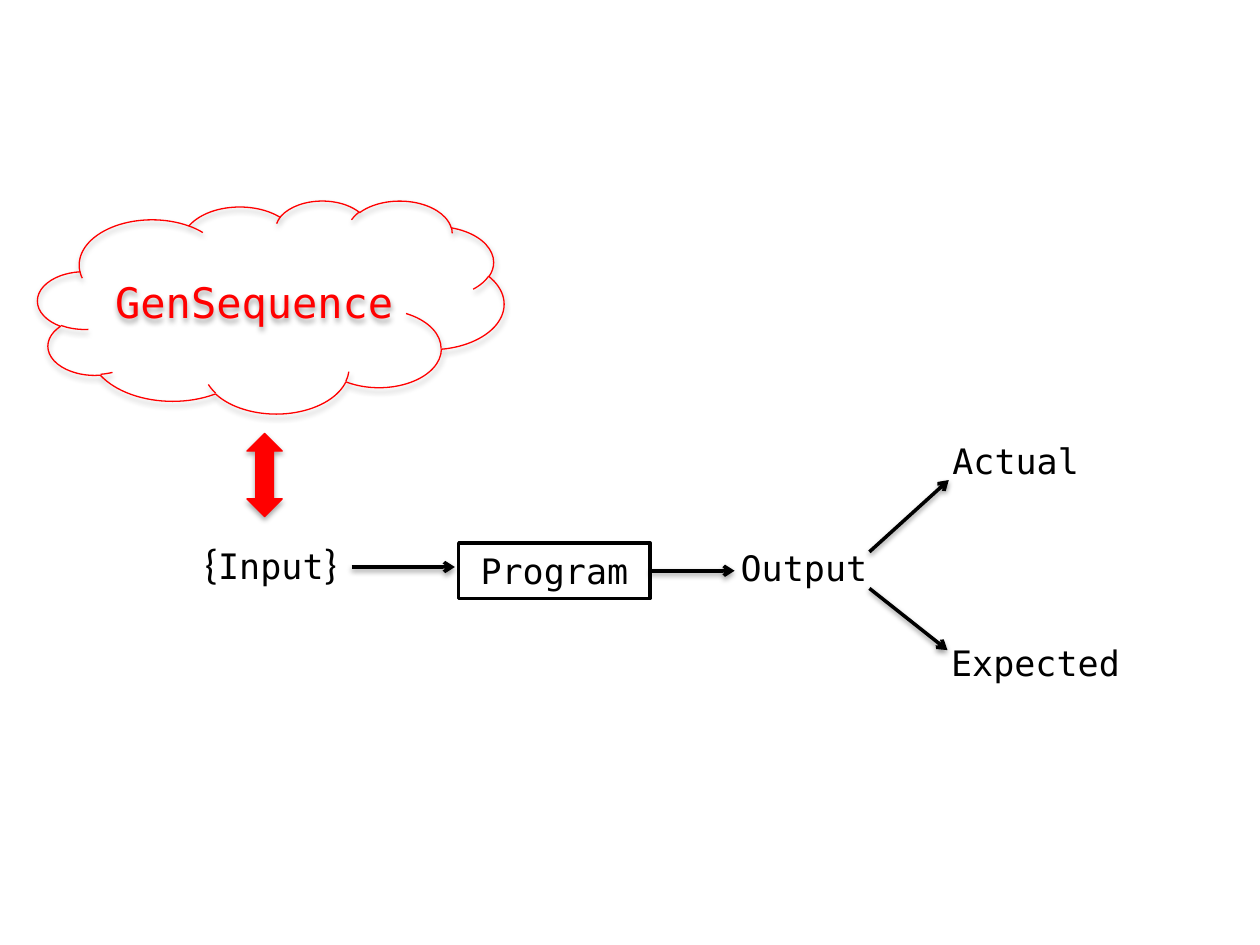
import lxml.etree
import pptx
import pptx.dml.color
import pptx.enum.shapes
import pptx.enum.text
import pptx.oxml.ns
import pptx.util

Inches = pptx.util.Inches
Pt = pptx.util.Pt
qn = pptx.oxml.ns.qn
SHAPES = pptx.enum.shapes.MSO_SHAPE
ALIGN = pptx.enum.text.PP_ALIGN
ANCHOR = pptx.enum.text.MSO_ANCHOR

BLACK = pptx.dml.color.RGBColor(0, 0, 0)
WHITE = pptx.dml.color.RGBColor(255, 255, 255)
RED = pptx.dml.color.RGBColor(255, 0, 0)
MONO = "DejaVu Sans Mono"


def write_text(shape, *parts, color=BLACK, size=20, font=MONO,
               align=ALIGN.LEFT, anchor=ANCHOR.TOP):
    frame = shape.text_frame
    frame.word_wrap = True
    frame.vertical_anchor = anchor
    paragraph = frame.paragraphs[0]
    paragraph.alignment = align
    for part in parts:
        text, part_size, part_font = (part, size, font) if isinstance(part, str) else part
        run = paragraph.add_run()
        run.text = text
        run.font.size = Pt(part_size)
        run.font.name = part_font
        run.font.color.rgb = color


def add_label(slide, box, *parts, **text_format):
    label = slide.shapes.add_textbox(*map(Inches, box))
    write_text(label, *parts, **text_format)
    return label


def add_shadow(shape, opacity, distance):
    properties = shape._element.spPr
    effects = properties.find(qn("a:effectLst"))
    if effects is None:
        effects = lxml.etree.SubElement(properties, qn("a:effectLst"))
    shadow = lxml.etree.SubElement(
        effects, qn("a:outerShdw"), blurRad=str(Pt(3.1)), dist=str(Pt(distance)),
        dir="5400000", rotWithShape="0")
    color = lxml.etree.SubElement(shadow, qn("a:srgbClr"), val=str(BLACK))
    lxml.etree.SubElement(color, qn("a:alpha"), val=str(opacity * 1000))


def add_outlined_shape(slide, kind, box, fill, line, width):
    shape = slide.shapes.add_shape(kind, *map(Inches, box))
    shape.shadow.inherit = False
    if fill is None:
        shape.fill.background()
    else:
        shape.fill.solid()
        shape.fill.fore_color.rgb = fill
    shape.line.color.rgb = line
    shape.line.width = Pt(width)
    return shape


def add_arrow(slide, start, end, source=None):
    arrow = slide.shapes.add_connector(
        pptx.enum.shapes.MSO_CONNECTOR.STRAIGHT, *map(Inches, start + end))
    if source is not None:
        arrow.begin_connect(source, 3)
    arrow.line.color.rgb = BLACK
    arrow.line.width = Pt(2)
    lxml.etree.SubElement(arrow.line._get_or_add_ln(), qn("a:tailEnd"), type="arrow")
    add_shadow(arrow, 38, 1.6)


def add_flow(slide, left, top):
    add_label(slide, (left, top, 1.38, 0.5),
              ("{", 24, "Calibri"), "Input", ("}", 24, "Calibri"), align=ALIGN.CENTER)
    program = add_outlined_shape(
        slide, SHAPES.RECTANGLE, (left + 2.18, top + 0.09, 1.52, 0.44), WHITE, BLACK, 2)
    write_text(program, "Program", align=ALIGN.CENTER)
    add_arrow(slide, (left + 1.33, top + 0.28), (left + 2.15, top + 0.28))
    add_arrow(slide, (left + 3.7, top + 0.31), (left + 4.37, top + 0.31), program)


def add_outcomes(slide, left, top):
    add_label(slide, (left, top + 0.85, 1.23, 0.44), "Output")
    add_arrow(slide, (left + 1.12, top + 0.94), (left + 1.75, top + 0.37))
    add_arrow(slide, (left + 1.12, top + 1.23), (left + 1.74, top + 1.72))
    add_label(slide, (left + 1.68, top, 1.38, 0.44), "Actual")
    add_label(slide, (left + 1.67, top + 1.6, 1.56, 0.44), "Expected")


def add_generator(slide, left, top):
    cloud = add_outlined_shape(
        slide, SHAPES.CLOUD, (left, top, 3.7, 1.69), None, RED, 0.75)
    write_text(cloud, "GenSequence", color=RED, size=24,
               align=ALIGN.CENTER, anchor=ANCHOR.MIDDLE)
    exchange = add_outlined_shape(
        slide, SHAPES.UP_DOWN_ARROW, (left + 1.66, top + 1.85, 0.28, 0.66), RED, RED, 0.75)
    for shape in (cloud, exchange):
        add_shadow(shape, 35, 1.8)


def main():
    presentation = pptx.Presentation()
    presentation.slide_width = Inches(10)
    presentation.slide_height = Inches(7.5)
    slide = presentation.slides.add_slide(presentation.slide_layouts[6])
    add_flow(slide, 1.46, 4.22)
    add_outcomes(slide, 5.78, 3.44)
    add_generator(slide, 0.3, 1.59)
    presentation.save("out.pptx")


if __name__ == "__main__":
    main()
